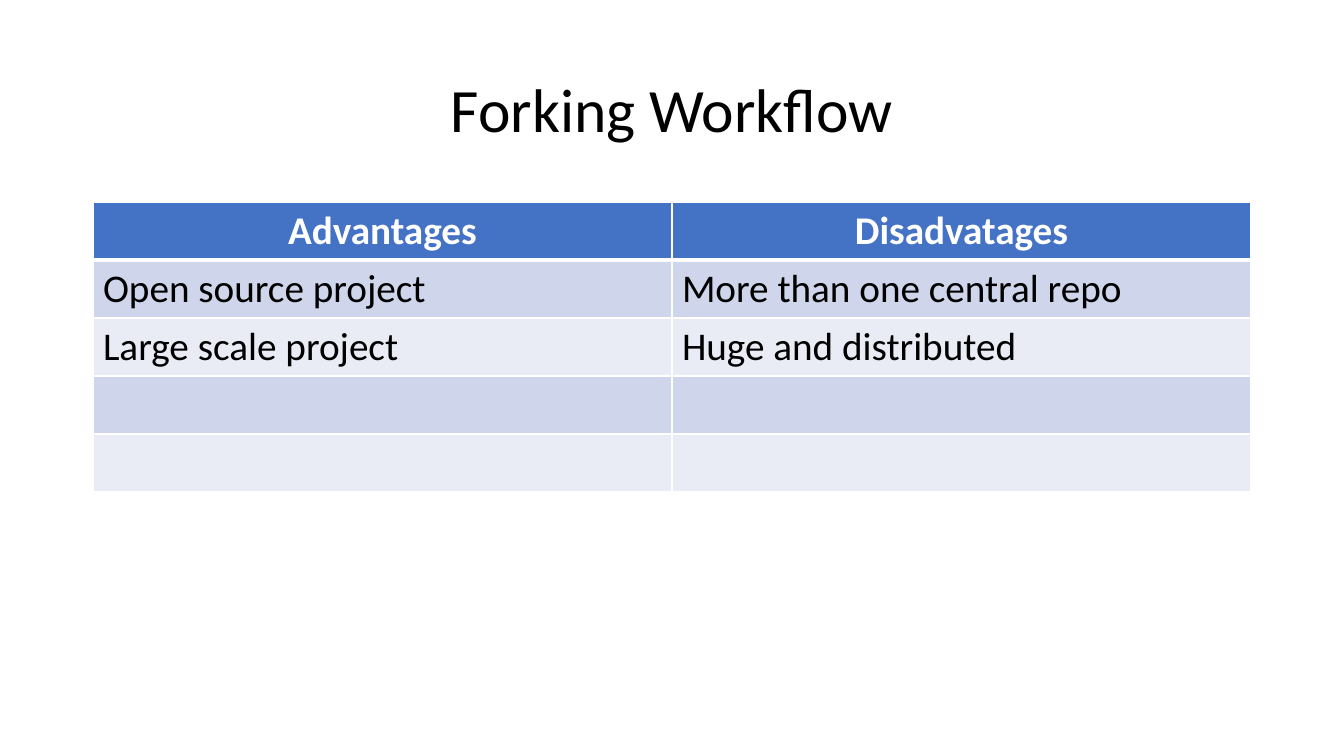
import pptx
import pptx.dml.color
import pptx.enum.text
import pptx.oxml
import pptx.oxml.ns
import pptx.util
from dataclasses import dataclass

PX = 914400 / 100.8
SLIDE_SIZE = (1344, 756)
TITLE_BOX = (93, 40, 1158, 146)
TABLE_BOX = (93, 202, 1158, 290)

WORKFLOW = "Forking Workflow"
PROS_AND_CONS = [
    ("Advantages", "Disadvatages"),
    ("Open source project", "More than one central repo"),
    ("Large scale project", "Huge and distributed"),
    ("", ""),
    ("", ""),
]


@dataclass(frozen=True)
class Theme:
    font: str = "Calibri"
    title_size: int = 44
    table_size: int = 28
    ink: str = "000000"
    header_ink: str = "FFFFFF"
    header_fill: str = "4472C4"
    bands: tuple = ("CFD5EA", "E9EBF5")
    rule: str = "FFFFFF"
    thin: int = 1
    thick: int = 3


THEME = Theme()
ALIGN = pptx.enum.text.PP_ALIGN


def emu(px):
    return pptx.util.Emu(round(px * PX))


def rgb(value):
    return pptx.dml.color.RGBColor.from_string(value)


def style_font(font, size, color, bold=False):
    font.name = THEME.font
    font.size = pptx.util.Pt(size)
    font.bold = bold
    font.color.rgb = rgb(color)


def add_borders(cell, top, bottom):
    properties = cell._tc.get_or_add_tcPr()
    widths = {"lnL": THEME.thin, "lnR": THEME.thin, "lnT": top, "lnB": bottom}
    for side, width in widths.items():
        properties.append(pptx.oxml.parse_xml(
            f'<a:{side} {pptx.oxml.ns.nsdecls("a")} w="{pptx.util.Pt(width)}">'
            f'<a:solidFill><a:srgbClr val="{THEME.rule}"/></a:solidFill></a:{side}>'))


# Heading
def place_title(slide, box):
    title = slide.shapes.title
    title.left, title.top, title.width, title.height = map(emu, box)
    frame = title.text_frame
    frame.text = WORKFLOW
    frame.word_wrap = True
    frame.auto_size = pptx.enum.text.MSO_AUTO_SIZE.NONE
    frame.vertical_anchor = pptx.enum.text.MSO_ANCHOR.MIDDLE
    heading = frame.paragraphs[0]
    heading.alignment = ALIGN.CENTER
    heading.line_spacing = 0.9
    style_font(heading.runs[0].font, THEME.title_size, THEME.ink)


# Comparison table: header row over banded rows
def place_comparison(slide, box):
    row_count, column_count = len(PROS_AND_CONS), len(PROS_AND_CONS[0])
    comparison = slide.shapes.add_table(row_count, column_count, *map(emu, box)).table
    for column in comparison.columns:
        column.width = emu(box[2] / column_count)
    for index, (row, entries) in enumerate(zip(comparison.rows, PROS_AND_CONS)):
        row.height = emu(box[3] / row_count)
        header = index == 0
        fill = THEME.header_fill if header else THEME.bands[(index - 1) % 2]
        for cell, entry in zip(row.cells, entries):
            add_borders(cell, top=THEME.thick if index == 1 else THEME.thin,
                        bottom=THEME.thick if header else THEME.thin)
            cell.fill.solid()
            cell.fill.fore_color.rgb = rgb(fill)
            cell.text_frame.text = entry
            paragraph = cell.text_frame.paragraphs[0]
            paragraph.alignment = ALIGN.CENTER if header else ALIGN.LEFT
            for run in paragraph.runs:
                style_font(run.font, THEME.table_size,
                           THEME.header_ink if header else THEME.ink, bold=header)


def main():
    deck = pptx.Presentation()
    deck.slide_width, deck.slide_height = map(emu, SLIDE_SIZE)
    slide = deck.slides.add_slide(deck.slide_layouts.get_by_name("Title Only"))
    place_title(slide, TITLE_BOX)
    place_comparison(slide, TABLE_BOX)
    deck.save("out.pptx")


if __name__ == "__main__":
    main()
